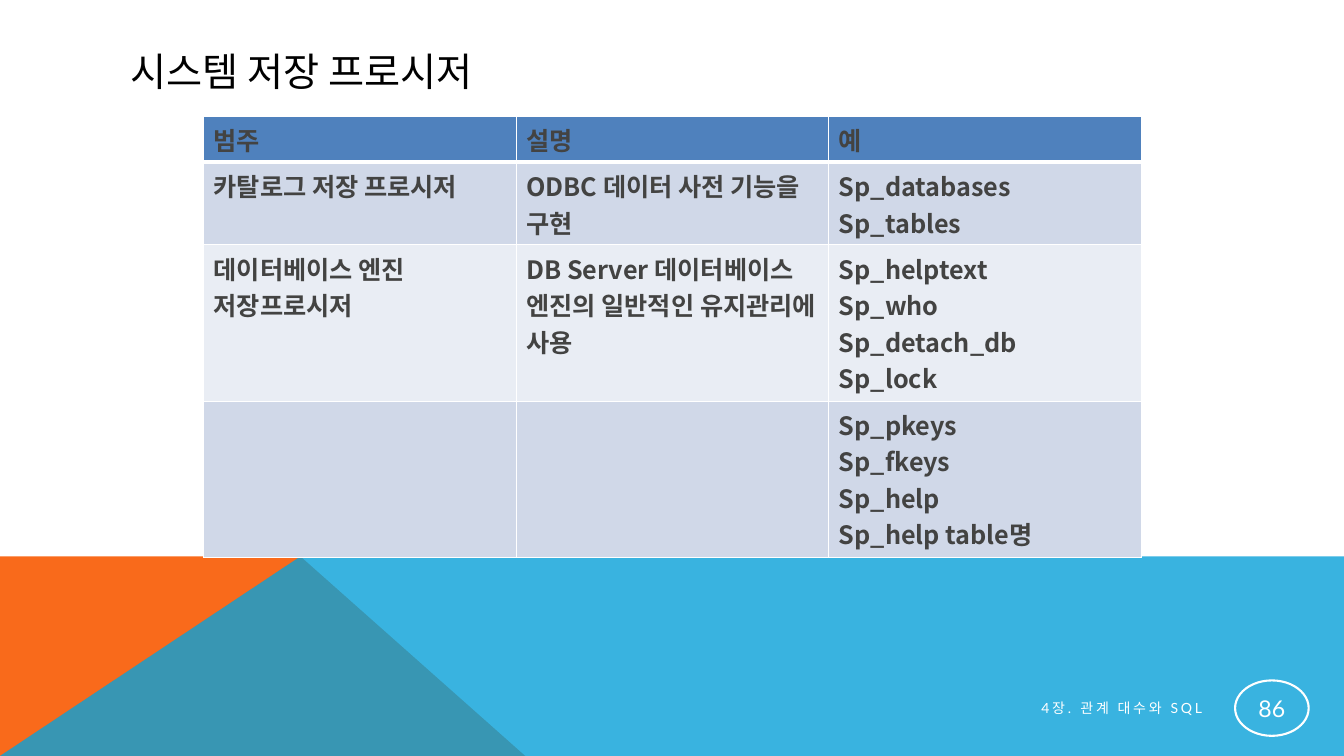
from lxml import etree
from pptx import Presentation
from pptx.dml.color import RGBColor
from pptx.enum.shapes import MSO_SHAPE as SHAPE
from pptx.enum.text import MSO_ANCHOR as ANCHOR, PP_ALIGN as ALIGN
from pptx.oxml import parse_xml
from pptx.oxml.ns import nsdecls, qn
from pptx.util import Inches, Pt

WHITE = RGBColor(0xFF, 0xFF, 0xFF)
BLACK = RGBColor(0x00, 0x00, 0x00)
ORANGE = RGBColor(0xF9, 0x6A, 0x1B)
BLUE = RGBColor(0x08, 0xA1, 0xD9)
HEADER = RGBColor(0x4F, 0x81, 0xBD)
BANDS = (RGBColor(0xE9, 0xED, 0xF4), RGBColor(0xD0, 0xD8, 0xE8))
CELL_TEXT = RGBColor(0x43, 0x43, 0x42)
LATIN, KOREAN = "Lato", "Noto Sans CJK KR"

ROWS = [
    ("범주", "설명", "예"),
    ("카탈로그 저장 프로시저", "ODBC 데이터 사전 기능을 구현",
     "Sp_databases\nSp_tables"),
    ("데이터베이스 엔진 저장프로시저",
     "DB Server 데이터베이스 엔진의 일반적인 유지관리에 사용",
     "Sp_helptext\nSp_who\nSp_detach_db\nSp_lock"),
    ("", "", "Sp_pkeys\nSp_fkeys\nSp_help\nSp_help table명"),
]
ROW_HEIGHTS = (0.46, 0.82, 1.55, 1.55)


def style_text(tf, size, color, latin=LATIN, bold=False, align=None, spacing=0):
    for p in tf.paragraphs:
        p.alignment = align
        for r in p.runs:
            r.font.size, r.font.name, r.font.bold = Pt(size), latin, bold
            r.font.color.rgb = color
            rpr = r.font._element
            if spacing:
                rpr.set("spc", str(spacing * 100))
            ea = etree.Element(qn("a:ea"), typeface=KOREAN)
            rpr.find(qn("a:latin")).addnext(ea)


def add_text(slide, box, text, size, color, **style):
    tf = slide.shapes.add_textbox(*map(Inches, box)).text_frame
    tf.word_wrap = True
    tf.vertical_anchor = ANCHOR.MIDDLE
    tf.text = text
    style_text(tf, size, color, **style)


def add_polygon(slide, points, color, opacity=100):
    start, *rest = [(Inches(x), Inches(y)) for x, y in points]
    builder = slide.shapes.build_freeform(*start)
    builder.add_line_segments(rest, close=True)
    s = builder.convert_to_shape()
    s.shadow.inherit = False
    s.fill.solid()
    s.fill.fore_color.rgb = color
    s.line.fill.background()
    if opacity < 100:
        clr = s._element.spPr.find(qn("a:solidFill"))[0]
        etree.SubElement(clr, qn("a:alpha"), val=str(opacity * 1000))


def add_base(slide, left, top, width, height):
    """Orange wedge under a translucent blue band."""
    right, bottom = left + width, top + height
    peak = left + 2.98
    add_polygon(slide, [(left, bottom), (left, top), (peak, top),
                        (left + 5.21, bottom)], ORANGE)
    add_polygon(slide, [(left, bottom), (peak, top), (right, top),
                        (right, bottom)], BLUE, opacity=80)


def add_footer(slide, left, top, width, height):
    """Chapter name with the page number in a ring at its right."""
    ring_w = 0.73
    add_text(slide, (left, top + 0.12, width - ring_w - 0.23, 0.3),
             "4장. 관계 대수와 SQL", 10, WHITE, align=ALIGN.RIGHT, spacing=2)
    s = slide.shapes.add_shape(SHAPE.OVAL, Inches(left + width - ring_w),
                               Inches(top), Inches(ring_w), Inches(height))
    s.shadow.inherit = False
    s.fill.background()
    s.line.color.rgb = WHITE
    s.line.width = Pt(1.5)
    tf = s.text_frame
    tf.margin_left = tf.margin_right = Inches(0.01)
    tf.margin_top = tf.margin_bottom = Inches(0.01)
    tf.vertical_anchor = ANCHOR.MIDDLE
    tf.text = "86"
    style_text(tf, 16.5, WHITE, align=ALIGN.CENTER)


def set_borders(cell, top, bottom):
    tcpr = cell._tc.get_or_add_tcPr()
    for i, (side, width) in enumerate(
            [("L", 1), ("R", 1), ("T", top), ("B", bottom)]):
        tcpr.insert(i, parse_xml(
            f'<a:ln{side} {nsdecls("a")} w="{Pt(width)}"><a:solidFill>'
            f'<a:srgbClr val="{WHITE}"/></a:solidFill></a:ln{side}>'))


def add_procedure_table(slide, left, top, width):
    cols = len(ROWS[0])
    table = slide.shapes.add_table(
        len(ROWS), cols, Inches(left), Inches(top), Inches(width),
        Inches(sum(ROW_HEIGHTS))).table
    for col in table.columns:
        col.width = Inches(width / cols)
    for i, (texts, height) in enumerate(zip(ROWS, ROW_HEIGHTS)):
        table.rows[i].height = Inches(height)
        for j, text in enumerate(texts):
            cell = table.cell(i, j)
            cell.fill.solid()
            cell.fill.fore_color.rgb = BANDS[i % 2] if i else HEADER
            set_borders(cell, 3 if i == 1 else 1, 3 if i == 0 else 1)
            cell.text_frame.text = text
            style_text(cell.text_frame, 18, CELL_TEXT, KOREAN, bold=True)


def main():
    prs = Presentation()
    prs.slide_width, prs.slide_height = Inches(13.33), Inches(7.5)
    slide = prs.slides.add_slide(prs.slide_layouts[6])
    add_base(slide, 0, 5.52, 13.33, 1.98)
    add_text(slide, (1.2, 0.4, 10.97, 0.6), "시스템 저장 프로시저", 28, BLACK)
    add_footer(slide, 5.13, 6.75, 7.85, 0.55)
    add_procedure_table(slide, 2.02, 1.15, 9.3)
    prs.save("out.pptx")


if __name__ == "__main__":
    main()
